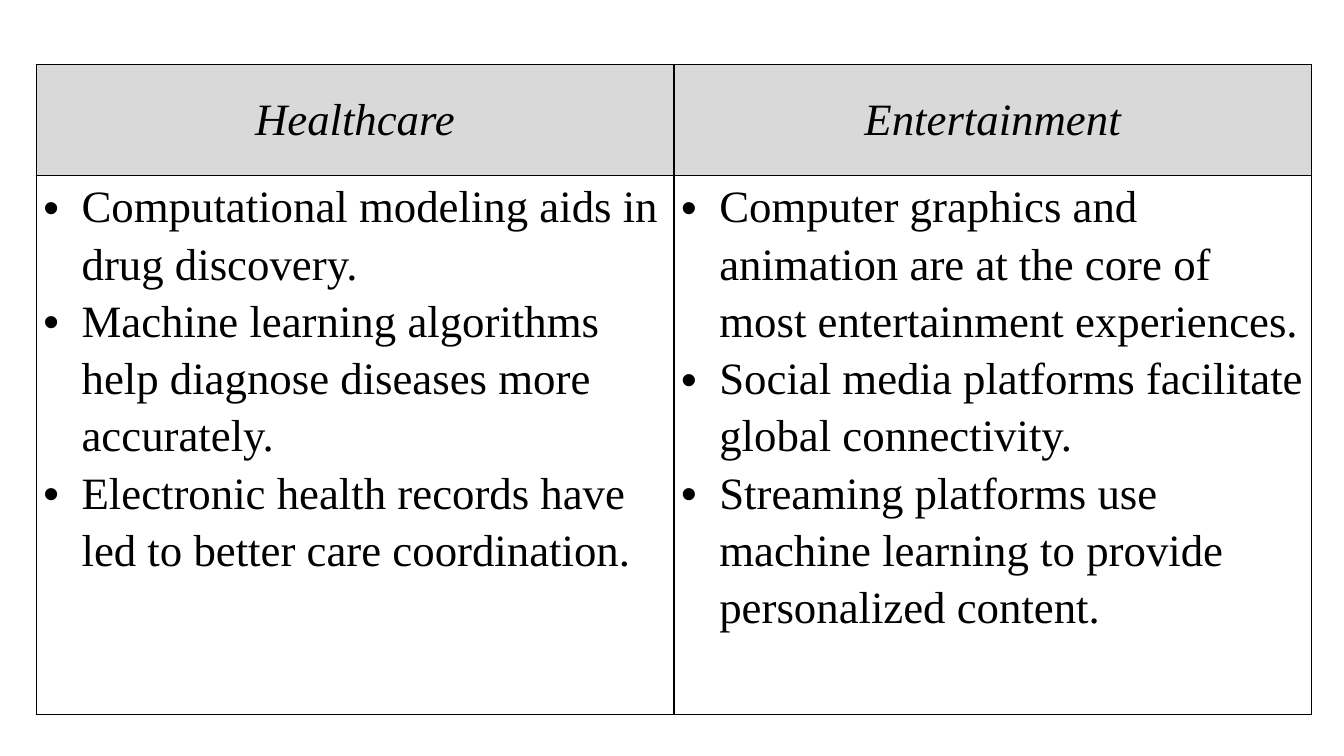
from lxml.etree import SubElement, Element
from pptx import Presentation
from pptx.dml.color import RGBColor
from pptx.enum.text import MSO_ANCHOR, PP_ALIGN
from pptx.oxml.ns import qn
from pptx.util import Inches, Pt

# Content: one entry per column
FIELDS = {
    "Healthcare": [
        "Computational modeling aids in drug discovery.",
        "Machine learning algorithms help diagnose diseases more accurately.",
        "Electronic health records have led to better care coordination.",
    ],
    "Entertainment": [
        "Computer graphics and animation are at the core of most entertainment experiences.",
        "Social media platforms facilitate global connectivity.",
        "Streaming platforms use machine learning to provide personalized content.",
    ],
}
WIDE, HIGH = 13.33, 7.5
LEFT, TOP, SPAN = 0.36, 0.64, 12.65
ROWS = (1.1, 5.35)
PAD, INDENT = 0.07, 0.38
BLACK, GREY = "000000", "D9D9D9"


def color(code):
    return RGBColor.from_string(code)


def border(cell):
    props = cell._tc.get_or_add_tcPr()
    for spot, side in enumerate(("lnL", "lnR", "lnT", "lnB")):
        line = Element(qn(f"a:{side}"), w=str(Pt(1)))
        fill = SubElement(line, qn("a:solidFill"))
        SubElement(fill, qn("a:srgbClr"), val=BLACK)
        props.insert(spot, line)


def bullet(para):
    props = para._p.get_or_add_pPr()
    props.set("marL", str(Inches(INDENT)))
    props.set("indent", str(-Inches(INDENT)))
    SubElement(props, qn("a:buFont"), typeface="Arial")
    SubElement(props, qn("a:buChar"), char="•")
    para.line_spacing = 1.15


def write(cell, lines, head):
    cell.margin_left = cell.margin_right = Inches(PAD)
    cell.margin_top = cell.margin_bottom = 0
    cell.vertical_anchor = MSO_ANCHOR.MIDDLE if head else MSO_ANCHOR.TOP
    if head:
        cell.fill.solid()
        cell.fill.fore_color.rgb = color(GREY)
    else:
        cell.fill.background()
    border(cell)
    cell.text_frame.text = "\n".join(lines)
    for para in cell.text_frame.paragraphs:
        if head:
            para.alignment = PP_ALIGN.CENTER
        else:
            bullet(para)
        for run in para.runs:
            run.font.name = "Times New Roman"
            run.font.size = Pt(32)
            run.font.italic = head
            run.font.color.rgb = color(BLACK)


deck = Presentation()
deck.slide_width, deck.slide_height = Inches(WIDE), Inches(HIGH)
slide = deck.slides.add_slide(deck.slide_layouts[6])

# Table grid: equal columns, short header row
table = slide.shapes.add_table(
    len(ROWS), len(FIELDS), Inches(LEFT), Inches(TOP), Inches(SPAN), Inches(sum(ROWS))
).table
table.first_row = table.horz_banding = False
for row, size in zip(table.rows, ROWS):
    row.height = Inches(size)

# Header and bullets of each column
for col, (title, points) in enumerate(FIELDS.items()):
    table.columns[col].width = Inches(SPAN / len(FIELDS))
    write(table.cell(0, col), [title], True)
    write(table.cell(1, col), points, False)

deck.save("out.pptx")
